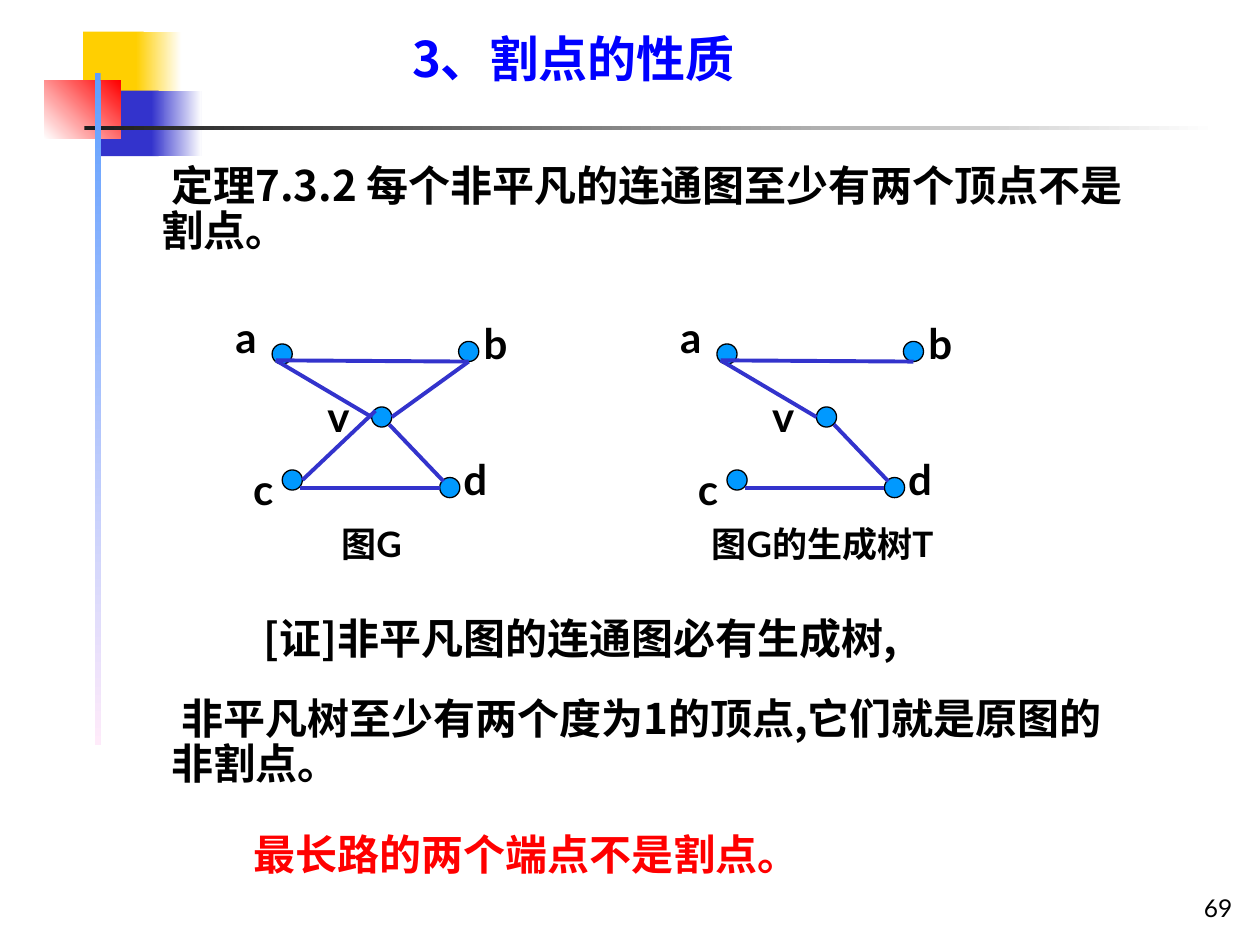
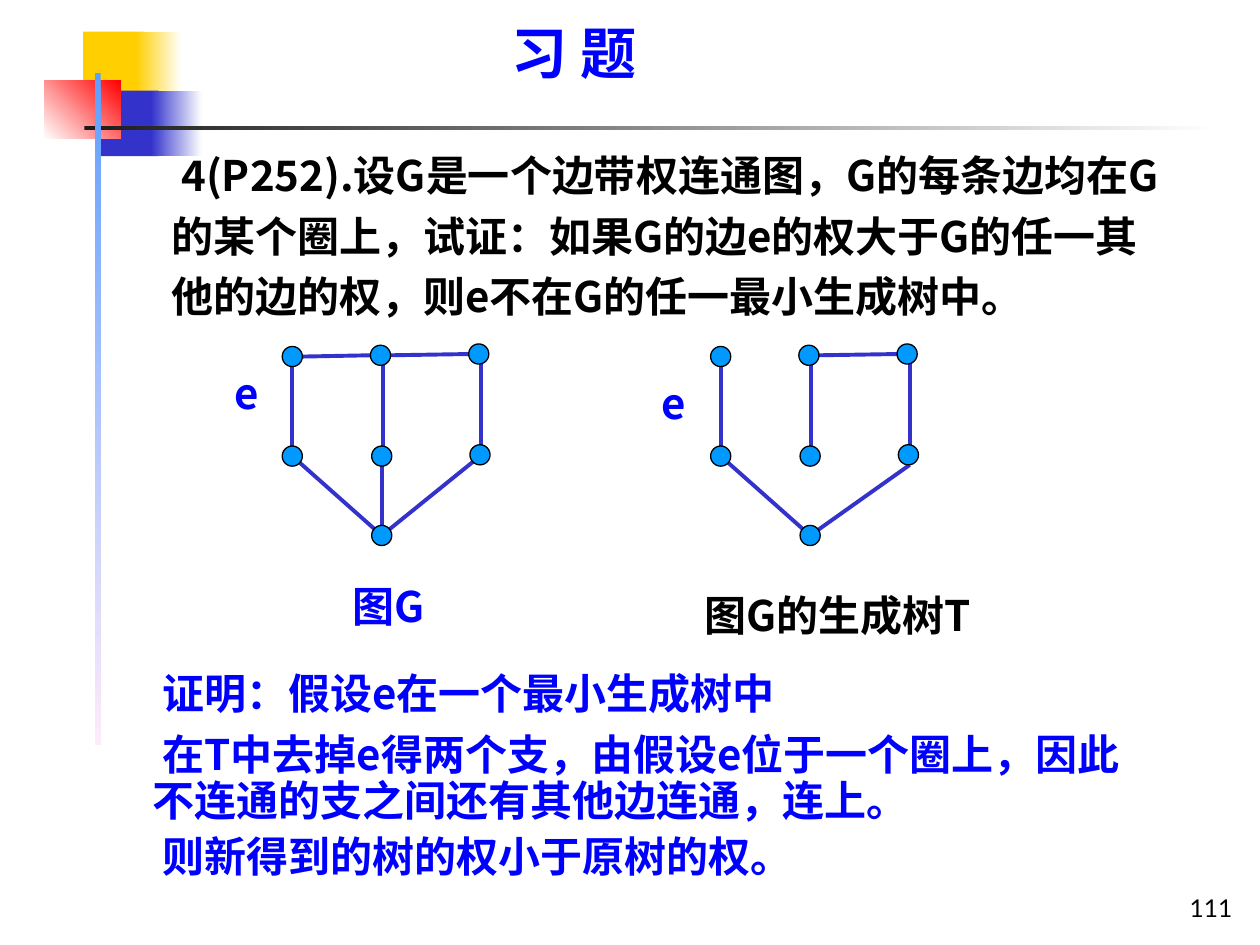
"""Build two graph theory slides: properties of cut vertices and a spanning tree exercise."""
import dataclasses

import lxml.etree
import pptx
import pptx.dml.color
import pptx.enum.shapes
import pptx.enum.text
import pptx.oxml.ns
import pptx.util

PX = 9144


@dataclasses.dataclass(frozen=True)
class Theme:
    cjk: str = "Noto Sans CJK SC"
    latin: str = "Lato"
    black: str = "000000"
    blue: str = "0000FF"
    red: str = "FF0000"
    white: str = "FFFFFF"
    gold: str = "FFCF01"
    indigo: str = "3333CC"
    rule: str = "1C1C1C"
    sky: str = "5E9EFF"
    blush: str = "FFEBFA"
    node: str = "0099FF"
    body: int = 24
    caption: int = 20
    page: int = 14
    edge_width: float = 2.25
    node_width: float = 0.75


T = Theme()
rgb = pptx.dml.color.RGBColor.from_string
qn = pptx.oxml.ns.qn
ALIGN = pptx.enum.text.PP_ALIGN
ANCHOR = pptx.enum.text.MSO_ANCHOR
SHAPE = pptx.enum.shapes.MSO_SHAPE


def write(sp, at, lines, font=T.cjk, size=T.body, color=T.black, bold=True,
          spacing=0.9, inset=(0, 0), hanging=False, align=ALIGN.LEFT, anchor=ANCHOR.TOP):
    sp.left, sp.top, sp.width, sp.height = [v * PX for v in at]
    tf = sp.text_frame
    tf.word_wrap = True
    tf.auto_size = pptx.enum.text.MSO_AUTO_SIZE.NONE
    tf.vertical_anchor = anchor
    tf.margin_left = tf.margin_right = inset[0] * PX
    tf.margin_top = tf.margin_bottom = inset[1] * PX
    tf.text = "\n".join(lines)
    for i, p in enumerate(tf.paragraphs):
        p.alignment = align
        p.line_spacing = spacing
        p.space_before = pptx.util.Pt(6 if i else 0)
        pPr = p._p.get_or_add_pPr()
        if hanging:
            pPr.set("marL", str(38 * PX))
            pPr.set("indent", str(8 * PX))
        p.font.size = pptx.util.Pt(size)
        p.font.bold = bold
        p.font.color.rgb = rgb(color)
        p.font.name = font
        ea = lxml.etree.SubElement(pPr.find(qn("a:defRPr")), qn("a:ea"))
        ea.set("typeface", T.cjk)


def draw_graph(s, nodes, edges, dx):
    for x, y in nodes:
        sp = s.shapes.add_shape(SHAPE.OVAL, (x + dx) * PX, y * PX, 16 * PX, 16 * PX)
        sp.shadow.inherit = False
        sp.fill.solid()
        sp.fill.fore_color.rgb = rgb(T.node)
        sp.line.color.rgb = rgb(T.black)
        sp.line.width = pptx.util.Pt(T.node_width)
    for x1, y1, x2, y2 in edges:
        line = s.shapes.add_connector(
            pptx.enum.shapes.MSO_CONNECTOR.STRAIGHT,
            (x1 + dx) * PX, y1 * PX, (x2 + dx) * PX, y2 * PX)
        line.line.color.rgb = rgb(T.indigo)
        line.line.width = pptx.util.Pt(T.edge_width)
        lxml.etree.SubElement(line.element.spPr, qn("a:effectLst"))


prs = pptx.Presentation()
prs.slide_width, prs.slide_height = 1000 * PX, 750 * PX
layout = prs.slide_layouts[5]
cut_slide, exercise_slide = [prs.slides.add_slide(layout) for _ in range(2)]

bands = [
    ((66, 25, 48, 52), (T.gold,), 0),
    ((108, 25, 36, 52), (T.gold, T.white), 0),
    ((80, 72, 46, 52), (T.indigo,), 0),
    ((120, 72, 40, 52), (T.indigo, T.white), 0),
    ((35, 64, 61, 46), (T.white, T.red), 45),
    ((67, 100, 900, 3), (T.rule, T.white), 0),
    ((75, 58, 5, 533), (T.sky, T.blush), 270),
]
for i, (at, colors, angle) in enumerate(bands):
    sp = cut_slide.shapes.add_shape(SHAPE.RECTANGLE, *[v * PX for v in at])
    sp.shadow.inherit = False
    sp.line.fill.background()
    if len(colors) == 1:
        sp.fill.solid()
        sp.fill.fore_color.rgb = rgb(colors[0])
    else:
        sp.fill.gradient()
        sp.fill.gradient_angle = angle
        for stop, color in zip(sp.fill.gradient_stops, colors):
            stop.color.rgb = rgb(color)
    sp.element.nvSpPr.cNvPr.set("id", str(20 + i))
    layout.shapes.element.append(sp.element)

headings = [
    (cut_slide, "3、割点的性质", (327, 28, 341, 42), 28, "69"),
    (exercise_slide, "习 题", (406, 21, 134, 48), 32, "111"),
]
for s, title, at, size, number in headings:
    write(s.shapes.title, at, [title], size=size, color=T.blue)
    write(s.shapes.add_textbox(0, 0, 0, 0), (780, 687, 208, 50), [number], font=T.latin,
          size=T.page, bold=False, spacing=1.0, inset=(10, 5),
          align=ALIGN.RIGHT, anchor=ANCHOR.BOTTOM)

s = cut_slide
statements = [
    ((90, 131, 803, 72), "定理7.3.2 每个非平凡的连通图至少有两个顶点不是割点。", T.black, True),
    ((209, 491, 614, 36), "[证]非平凡图的连通图必有生成树,", T.black, False),
    ((98, 554, 788, 72), "非平凡树至少有两个度为1的顶点,它们就是原图的非割点。", T.black, True),
    ((201, 662, 473, 36), "最长路的两个端点不是割点。", T.red, False),
]
for at, text, color, hanging in statements:
    write(s.shapes.add_textbox(0, 0, 0, 0), at, [text], color=color, hanging=hanging)

vertices = [(216, 273), (364, 271), (224, 373), (349, 379), (295, 323)]
vertex_labels = {"a": (177, 242), "b": (374, 247), "c": (191, 363),
                 "d": (358, 355), "v": (250, 305)}
tree_edges = [(219, 286, 295, 331), (219, 286, 372, 287),
              (238, 387, 349, 387), (309, 337, 352, 382)]
cycle_edges = [(311, 331, 372, 287), (298, 326, 240, 381)]
cut_graphs = [
    (0, tree_edges + cycle_edges, "图G", (261, 410, 90, 44)),
    (353, tree_edges, "图G的生成树T", (555, 410, 206, 77)),
]
for dx, edges, caption, at in cut_graphs:
    draw_graph(s, vertices, edges, dx)
    for label, (x, y) in vertex_labels.items():
        write(s.shapes.add_textbox(0, 0, 0, 0), (x + dx, y, 45, 50), [label],
              font=T.latin, spacing=1.0, inset=(10, 5))
    write(s.shapes.add_textbox(0, 0, 0, 0), at, [caption], font=T.latin,
          size=T.caption, spacing=1.0, inset=(10, 5))

s = exercise_slide
write(s.shapes.add_textbox(0, 0, 0, 0), (98, 111, 827, 192),
      ["4(P252).设G是一个边带权连通图，G的每条边均在G的某个圈上，"
       "试证：如果G的边e的权大于G的任一其他的边的权，则e不在G的任一最小生成树中。"],
      spacing=1.2, hanging=True)

vertices = [(224, 275), (294, 274), (372, 273), (224, 354), (295, 354), (373, 353), (295, 417)]
tree_edges = [(232, 283, 232, 354), (304, 284, 304, 363), (382, 283, 382, 362),
              (232, 362, 303, 425), (310, 282, 372, 281)]
cycle_edges = [(303, 362, 303, 425), (381, 362, 303, 425), (240, 283, 294, 282)]
exercise_graphs = [
    (0, tree_edges + cycle_edges, (186, 296), "图G", (280, 465, 71, 36), T.blue, 0.9),
    (340, tree_edges + [(382, 369, 303, 425)], (525, 304),
     "图G的生成树T", (559, 456, 256, 52), T.black, 1.3),
]
for dx, edges, e_at, caption, at, color, spacing in exercise_graphs:
    draw_graph(s, [], edges, dx)
    draw_graph(s, vertices, [], dx)
    write(s.shapes.add_textbox(0, 0, 0, 0), (*e_at, 38, 36), ["e"], color=T.blue)
    write(s.shapes.add_textbox(0, 0, 0, 0), at, [caption], color=color, spacing=spacing)

proof = [
    ((83, 534, 669, 36), ["证明：假设e在一个最小生成树中"]),
    ((83, 583, 827, 116),
     ["在T中去掉e得两个支，由假设e位于一个圈上，因此不连通的支之间还有其他边连通，连上。",
      "则新得到的树的权小于原树的权。"]),
]
for at, lines in proof:
    write(s.shapes.add_textbox(0, 0, 0, 0), at, lines, color=T.blue, hanging=True)

prs.save("out.pptx")
